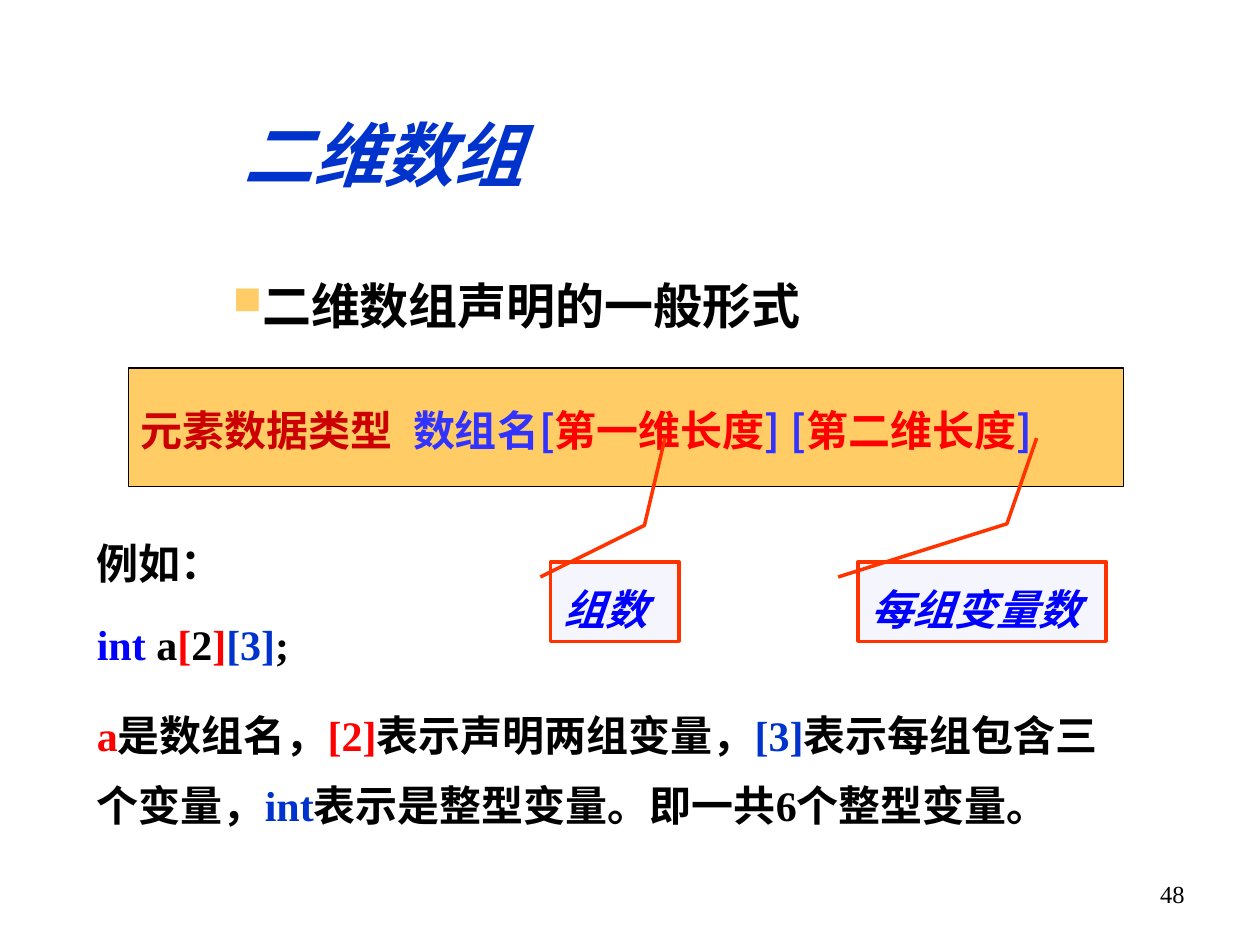
from lxml.etree import SubElement
from pptx import Presentation
from pptx.dml.color import RGBColor
from pptx.enum.shapes import MSO_SHAPE as Shape
from pptx.enum.text import MSO_ANCHOR as Anchor, PP_ALIGN as Align
from pptx.oxml import parse_xml
from pptx.oxml.ns import nsdecls, qn
from pptx.util import Inches, Pt

BLACK = RGBColor(0, 0, 0)
RED = RGBColor(0xFF, 0, 0)
DARK_RED = RGBColor(0xCC, 0, 0)
BLUE = RGBColor(0, 0, 0xFF)
ROYAL_BLUE = RGBColor(0, 0x33, 0xCC)
VIOLET_BLUE = RGBColor(0x33, 0x33, 0xFF)
ORANGE = RGBColor(0xFF, 0xCC, 0x66)
ORANGE_RED = RGBColor(0xFF, 0x33, 0)
PALE_BLUE = RGBColor(0xF5, 0xF6, 0xFD)

SERIF = "Times New Roman"
SANS = "Noto Sans CJK SC"


def add_text(paragraph, text, size=24, color=BLACK, font=SERIF, bold=True,
             italic=False, shadow=False):
    run = paragraph.add_run()
    run.text = text
    run.font.size = Pt(size)
    run.font.bold = bold
    run.font.italic = italic
    run.font.color.rgb = color
    run.font.name = font
    latin = run.font._element.find(qn("a:latin"))
    east_asian = parse_xml(f'<a:ea {nsdecls("a")} typeface="{SANS}"/>')
    latin.addnext(east_asian)
    if shadow:
        latin.addprevious(parse_xml(
            f'<a:effectLst {nsdecls("a")}>'
            '<a:outerShdw dist="38100" dir="2700000">'
            '<a:srgbClr val="000000"/></a:outerShdw></a:effectLst>'))


def add_runs(paragraph, runs, **style):
    for text, color in runs:
        add_text(paragraph, text, color=color, **style)


def set_spacing(paragraph, line, before=0, after=0, align=Align.LEFT):
    paragraph.alignment = align
    paragraph.line_spacing = line
    paragraph.space_before = Pt(before)
    paragraph.space_after = Pt(after)


def set_bullet(paragraph, bullet_left, text_left):
    properties = paragraph._p.get_or_add_pPr()
    properties.set("marL", str(Inches(text_left)))
    properties.set("indent", str(Inches(bullet_left - text_left)))
    color = SubElement(properties, qn("a:buClr"))
    SubElement(color, qn("a:srgbClr"), val=str(ORANGE))
    SubElement(properties, qn("a:buSzPct"), val="80000")
    SubElement(properties, qn("a:buChar"), char="■")


def set_tab(paragraph, position):
    tabs = SubElement(paragraph._p.get_or_add_pPr(), qn("a:tabLst"))
    SubElement(tabs, qn("a:tab"), pos=str(Inches(position)), algn="l")


def add_text_box(slide, left, top, width, height):
    box = slide.shapes.add_textbox(
        Inches(left), Inches(top), Inches(width), Inches(height))
    box.text_frame.word_wrap = True
    return box.text_frame


def add_panel(slide, kind, left, top, width, height, fill, line, line_width):
    panel = slide.shapes.add_shape(
        kind, Inches(left), Inches(top), Inches(width), Inches(height))
    panel.shadow.inherit = False
    panel.fill.solid()
    panel.fill.fore_color.rgb = fill
    panel.line.color.rgb = line
    panel.line.width = Pt(line_width)
    panel.text_frame.word_wrap = True
    return panel


def add_title(slide):
    frame = add_text_box(slide, 1.48, 0.87, 3.13, 0.69)
    frame.margin_left = frame.margin_right = frame.margin_bottom = 0
    frame.margin_top = Inches(0.01)
    frame.vertical_anchor = Anchor.MIDDLE
    title = frame.paragraphs[0]
    title.alignment = Align.CENTER
    add_text(title, "二维数组", size=40, color=ROYAL_BLUE, italic=True, shadow=True)


def add_body(slide):
    frame = add_text_box(slide, 0.67, 2.05, 8.44, 5.01)
    heading = frame.paragraphs[0]
    set_bullet(heading, 1.08, 1.25)
    set_spacing(heading, Pt(40), after=6)
    add_text(heading, "二维数组声明的一般形式", size=28)

    # The first gap leaves room for the declaration panel.
    example = [
        (99, [("例如：", BLACK)]),
        (0, [("int", BLUE), (" a", BLACK), ("[", RED), ("2", BLACK),
             ("]", RED), ("[3]", ROYAL_BLUE), (";", BLACK)]),
        (6, [("a", RED), ("是数组名，", BLACK), ("[2]", RED),
             ("表示声明两组变量，", BLACK), ("[3]", ROYAL_BLUE),
             ("表示每组包含三个变量，", BLACK), ("int", ROYAL_BLUE),
             ("表示是整型变量。即一共6个整型变量。", BLACK)]),
    ]
    for before, runs in example:
        paragraph = frame.add_paragraph()
        set_spacing(paragraph, Pt(40), before=before, after=6)
        add_runs(paragraph, runs)


def add_declaration(slide):
    panel = add_panel(slide, Shape.RECTANGLE, 1.02, 2.92, 7.9, 0.94,
                      ORANGE, BLACK, 0.75)
    panel.text_frame.vertical_anchor = Anchor.MIDDLE
    declaration = panel.text_frame.paragraphs[0]
    set_tab(declaration, 2.16)
    set_spacing(declaration, 1.1)
    add_runs(declaration, [
        ("元素数据类型\t", DARK_RED), ("数组名[", VIOLET_BLUE),
        ("第一维长度", RED), ("] [", VIOLET_BLUE),
        ("第二维长度", RED), ("]", VIOLET_BLUE)], font=SANS)


def add_callout(slide, text, left, width, bend, tip):
    """bend and tip are (y, x) as fractions of the callout's size."""
    callout = add_panel(slide, Shape.LINE_CALLOUT_2, left, 4.46, width, 0.63,
                        PALE_BLUE, ORANGE_RED, 2)
    for index, value in enumerate((0.19, -0.08, *bend, *tip)):
        callout.adjustments[index] = value
    callout.text_frame.vertical_anchor = Anchor.TOP
    label = callout.text_frame.paragraphs[0]
    set_spacing(label, 1.3)
    add_text(label, text, color=BLUE, italic=True)


def add_page_number(slide):
    number = add_text_box(slide, 7.17, 6.93, 2.33, 0.52).paragraphs[0]
    number.alignment = Align.RIGHT
    add_text(number, "48", size=14, bold=False)


def main():
    deck = Presentation()
    deck.slide_width, deck.slide_height = Inches(10), Inches(7.5)
    slide = deck.slides.add_slide(deck.slide_layouts[6])
    add_page_number(slide)
    add_body(slide)
    add_declaration(slide)
    add_callout(slide, "组数", 4.37, 1.02, (-0.46, 0.73), (-1.56, 0.89))
    add_callout(slide, "每组变量数", 6.81, 1.97, (-0.48, 0.6), (-1.56, 0.72))
    add_title(slide)
    deck.save("out.pptx")


if __name__ == "__main__":
    main()
